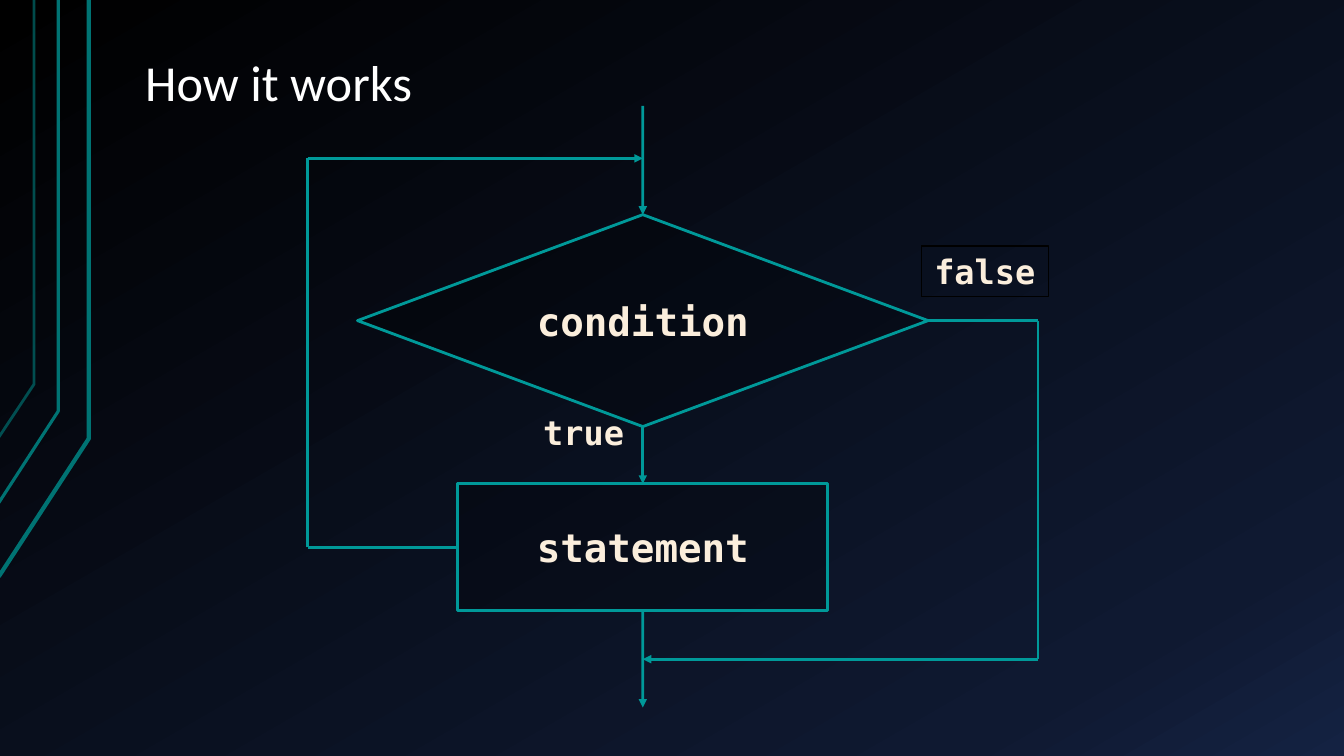
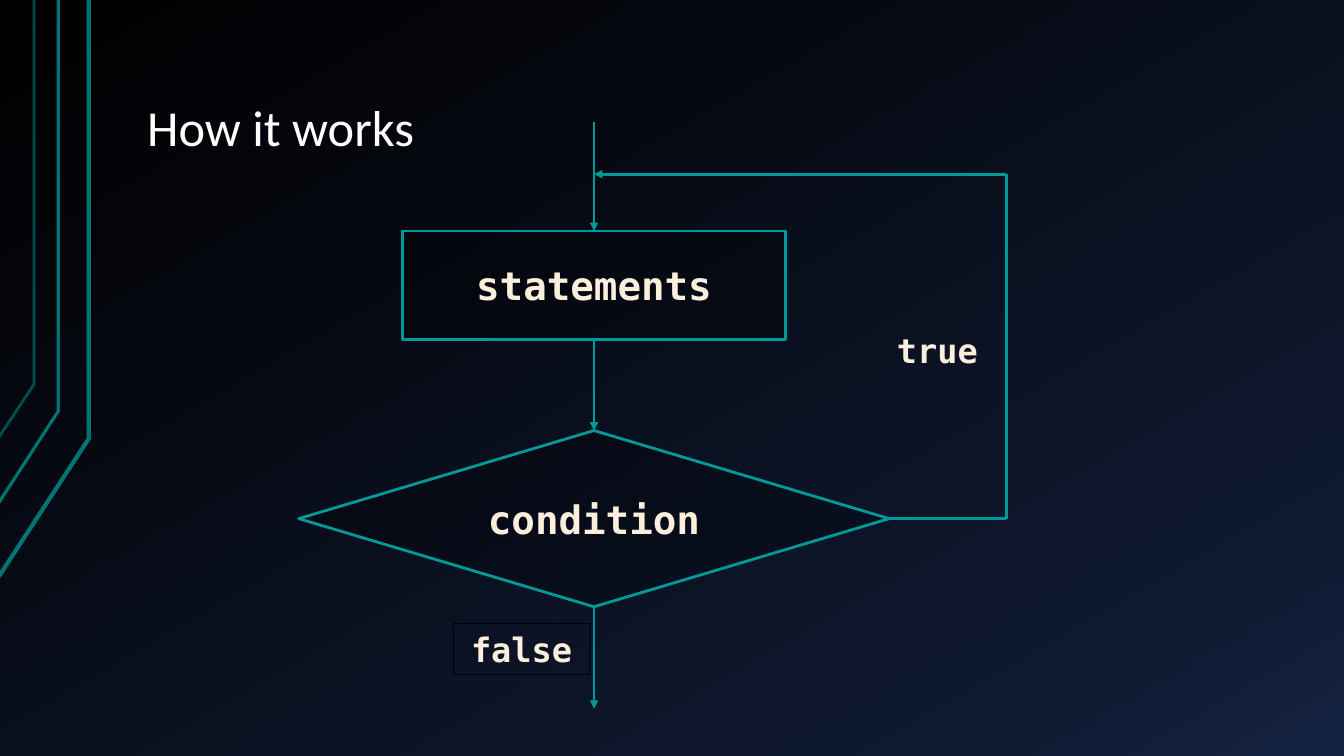
from copy import deepcopy
from dataclasses import dataclass
from itertools import pairwise

from lxml.etree import SubElement
from pptx import Presentation
from pptx.dml.color import RGBColor
from pptx.enum.shapes import MSO_CONNECTOR, MSO_SHAPE
from pptx.enum.text import MSO_ANCHOR, PP_ALIGN
from pptx.oxml.ns import qn
from pptx.util import Cm, Pt

TOP, LEFT, BOTTOM, RIGHT = range(4)


@dataclass(frozen=True)
class Theme:
    """Colours, fonts and type sizes shared by the slides."""
    gradient: tuple = ((0, "000000"), (0.85, "0F1931"), (1, "142242"))
    strand: str = "007373"
    flow: str = "009999"
    dark: str = "000000"
    title_color: str = "FFFFFF"
    text_color: str = "FBEEDC"
    title_font: str = "Calibri"
    code_font: str = "DejaVu Sans Mono"
    title_size: int = 36
    node_size: int = 28
    label_size: int = 24
    line_width: float = 2
    node_opacity: int = 25


T = Theme()


def rgb(color):
    """Turn a hex string into a colour."""
    return RGBColor.from_string(color)


def cms(*values):
    """Turn centimetres into lengths."""
    return [Cm(v) for v in values]


def fade(sp, percent):
    """Set the opacity of the first plain colour in a shape."""
    color = sp.element.find(".//" + qn("a:srgbClr"))
    SubElement(color, qn("a:alpha"), val=str(percent * 1000))


def outline(sp, color, width):
    """Give a shape or connector a solid line."""
    sp.line.color.rgb = rgb(color)
    sp.line.width = Pt(width)


def write(sp, text, *, size, font=T.code_font, color=T.text_color, bold=True,
          align=PP_ALIGN.CENTER, anchor=MSO_ANCHOR.TOP, wrap=False,
          spacing=1.0, inset=(0.25, 0.13)):
    """Put one formatted paragraph into a shape."""
    tf = sp.text_frame
    tf.word_wrap = wrap
    tf.vertical_anchor = anchor
    tf.margin_left = tf.margin_right = Cm(inset[0])
    tf.margin_top = tf.margin_bottom = Cm(inset[1])
    p = tf.paragraphs[0]
    p.alignment = align
    p.line_spacing = spacing
    r = p.add_run()
    r.text = text
    r.font.name = font
    r.font.size = Pt(size)
    r.font.bold = bold
    r.font.color.rgb = rgb(color)


def add_title(s, text, left, top, height):
    """Add a slide title resting on the bottom of its box."""
    sp = s.shapes.add_textbox(*cms(left, top, 28.78, height))
    write(sp, text, size=T.title_size, font=T.title_font, color=T.title_color,
          bold=False, align=PP_ALIGN.LEFT, anchor=MSO_ANCHOR.BOTTOM,
          wrap=True, spacing=0.9, inset=(0.33, 0.18))


def add_node(s, kind, text, cx, cy, width, height):
    """Add a flowchart node around its centre."""
    sp = s.shapes.add_shape(
        kind, *cms(cx - width / 2, cy - height / 2, width, height))
    sp.shadow.inherit = False
    sp.fill.solid()
    sp.fill.fore_color.rgb = rgb(T.dark)
    fade(sp, T.node_opacity)
    outline(sp, T.flow, T.line_width)
    write(sp, text, size=T.node_size, anchor=MSO_ANCHOR.MIDDLE)
    return sp


def add_label(s, text, left, top, width, framed=False):
    """Add a branch label, with a thin frame if wanted."""
    sp = s.shapes.add_textbox(*cms(left, top, width, 1.27))
    if framed:
        outline(sp, T.dark, 0.75)
    write(sp, text, size=T.label_size)


def add_route(s, *points, begin=None, end=None):
    """Draw straight lines through the points, the last with an arrowhead."""
    lines = []
    for start, stop in pairwise(points):
        line = s.shapes.add_connector(
            MSO_CONNECTOR.STRAIGHT, *cms(*start, *stop))
        outline(line, T.flow, T.line_width)
        SubElement(line.element.find(qn("p:spPr")), qn("a:effectLst"))
        lines.append(line)
    stroke = lines[-1].element.find(".//" + qn("a:ln"))
    SubElement(stroke, qn("a:tailEnd"), type="triangle")
    if begin:
        lines[0].begin_connect(*begin)
    if end:
        lines[-1].end_connect(*end)


def style_master(master, s):
    """Give the master its gradient and the strands at the left edge."""
    fill = master.background.fill
    fill.gradient()
    fill.gradient_angle = 300
    stops = master.element.find(".//" + qn("a:gsLst"))
    stops.append(deepcopy(stops[-1]))
    for stop, (position, color) in zip(fill.gradient_stops, T.gradient):
        stop.position = position
        stop.color.rgb = rgb(color)
    strands = ((2.24, 11.05, 14.53, 3, 100), (1.47, 10.36, 12.67, 2.25, 100),
               (0.86, 9.68, 11.02, 2, 65))
    for number, (x, bend, foot, width, opacity) in enumerate(strands, 101):
        pen = s.shapes.build_freeform(*cms(-0.03, foot))
        pen.add_line_segments([cms(x, bend), cms(x, 0)], close=False)
        sp = pen.convert_to_shape()
        sp.shadow.inherit = False
        sp.fill.background()
        outline(sp, T.strand, width)
        fade(sp, opacity)
        sp.element.find(".//" + qn("p:cNvPr")).set("id", str(number))
        master.shapes.element.append(sp.element)


def build_while(s):
    """Draw the loop that tests its condition first."""
    x, test_y, body_y, right, left = 16.2, 8.08, 13.79, 26.16, 7.75
    add_title(s, "How it works", 3.33, 0.71, 2.31)
    test = add_node(s, MSO_SHAPE.FLOWCHART_DECISION, "condition",
                    x, test_y, 14.38, 5.34)
    body = add_node(s, MSO_SHAPE.RECTANGLE, "statement", x, body_y, 9.32, 3.2)
    add_route(s, (x, 2.67), (x, 5.41), end=(test, TOP))
    add_route(s, (x, 10.75), (x, 12.19), begin=(test, BOTTOM), end=(body, TOP))
    add_route(s, (x, 15.39), (x, 17.83), begin=(body, BOTTOM))
    add_route(s, (23.39, test_y), (right, test_y), (right, 16.61), (x, 16.61),
              begin=(test, RIGHT))
    add_route(s, (11.54, body_y), (left, body_y), (left, 3.99), (x, 3.99),
              begin=(body, LEFT))
    add_label(s, "true", 13.44, 10.24, 2.54)
    add_label(s, "false", 23.22, 6.2, 3.2, framed=True)


def build_do_while(s):
    """Draw the loop that tests its condition last."""
    x, body_y, test_y, right = 14.97, 7.19, 13.07, 25.36
    add_title(s, "How it works", 3.38, 0.76, 3.4)
    body = add_node(s, MSO_SHAPE.RECTANGLE, "statements", x, body_y, 9.65, 2.74)
    test = add_node(s, MSO_SHAPE.FLOWCHART_DECISION, "condition",
                    x, test_y, 14.88, 4.44)
    add_route(s, (x, 3.07), (x, 5.82), end=(body, TOP))
    add_route(s, (x, 8.56), (x, 10.85), begin=(body, BOTTOM), end=(test, TOP))
    add_route(s, (x, 15.29), (x, 17.86), begin=(test, BOTTOM))
    add_route(s, (22.41, test_y), (right, test_y), (right, 4.39), (x, 4.39),
              begin=(test, RIGHT))
    add_label(s, "true", 22.28, 8.18, 2.69)
    add_label(s, "false", 11.43, 15.72, 3.43, framed=True)


def main():
    """Build and save the presentation."""
    prs = Presentation()
    prs.slide_width, prs.slide_height = cms(33.87, 19.05)
    blank = prs.slide_layouts[6]
    first, second = (prs.slides.add_slide(blank) for _ in range(2))
    style_master(prs.slide_master, first)
    for s in (first, second):
        for placeholder in list(s.placeholders):
            placeholder.element.getparent().remove(placeholder.element)
    build_while(first)
    build_do_while(second)
    prs.save("out.pptx")


if __name__ == "__main__":
    main()
